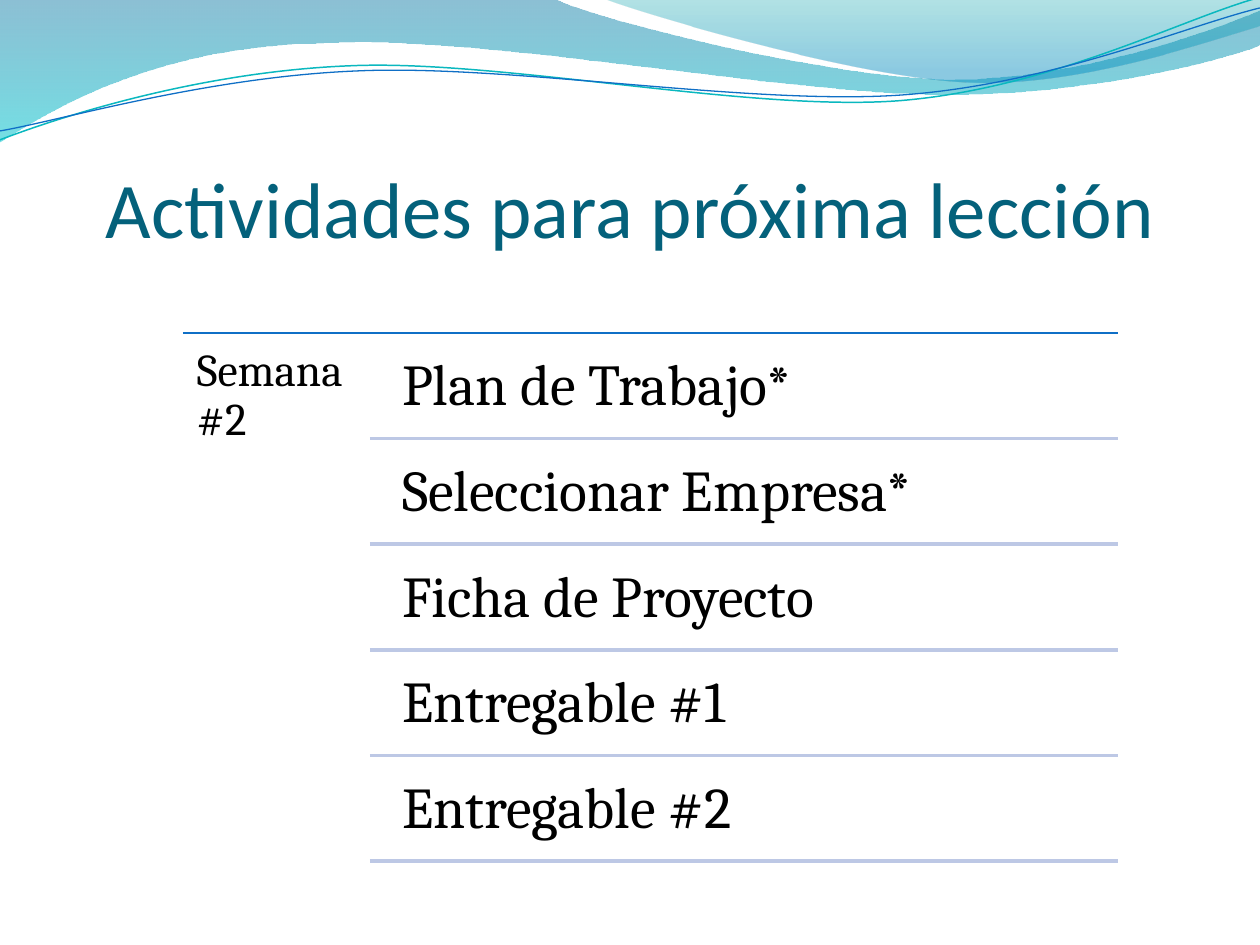
from math import cos, radians, sin

from lxml.etree import SubElement as Sub
from pptx import Presentation
from pptx.dml.color import RGBColor as RGB
from pptx.enum.shapes import MSO_CONNECTOR as CONN
from pptx.enum.text import MSO_ANCHOR as ANCHOR, PP_ALIGN as ALIGN
from pptx.oxml.ns import qn
from pptx.util import Pt

PX = 914400 / 126  # EMU in one px
TILT = 2.7  # degrees the thin curves lean to the left
HEX = {
    "title": "04617B", "ink": "000000", "rule": "0F6FC6", "row": "BDC8E5",
    "teal": "0AB8BF", "deep": "0074A1", "cyan": "00C6CF",
    "green": "00A1A9", "blue": "008BBF",
}
ROWS = ["Plan de Trabajo*", "Seleccionar Empresa*", "Ficha de Proyecto",
        "Entregable #1", "Entregable #2"]


def emu(n):
    return round(n * PX)


def color(name):
    return RGB.from_string(HEX[name])


def turn(point, mid, angle):
    a = radians(angle)
    dx, dy = point[0] - mid[0], point[1] - mid[1]
    return (mid[0] + dx * cos(a) - dy * sin(a),
            mid[1] + dx * sin(a) + dy * cos(a))


def add_free(slide, box, start, parts, close, tilt=0):
    """Outline of parts: a pair is a straight step, six numbers a Bézier."""
    x, y, w, h = box
    pts = [start]
    for part in parts:
        pts += zip(part[::2], part[1::2])
    pts = [turn(p, (w / 2, h / 2), tilt) for p in pts]
    pts = [(emu(x + a), emu(y + b)) for a, b in pts]
    pen = slide.shapes.build_freeform(*pts[0], scale=1.0)
    pen.add_line_segments(pts[1:], close=close)
    shape = pen.convert_to_shape()
    shape.shadow.inherit = False
    shape.rotation = -tilt % 360
    # Join the three points of each Bézier into one curve
    lines = iter(list(shape.element.iter(qn("a:lnTo"))))
    for part in parts:
        group = [next(lines) for _ in part[::2]]
        if len(group) == 3:
            first = group[0]
            first.tag = qn("a:cubicBezTo")
            for line in group[1:]:
                first.append(line[0])
                line.getparent().remove(line)
    return shape


def add_wave(slide, box, start, parts, stops):
    shape = add_free(slide, box, start, parts, True)
    shape.line.fill.background()
    shape.fill.gradient()
    shape.fill.gradient_angle = 270
    for stop, (pos, name, _) in zip(shape.fill.gradient_stops, stops):
        stop.position = pos
        stop.color.rgb = color(name)
    tones = shape.element.spPr.iter(qn("a:srgbClr"))
    for tone, (_, _, alpha) in zip(tones, stops):
        Sub(tone, qn("a:alpha")).set("val", str(alpha * 1000))


def add_curve(slide, box, start, parts, name, width):
    shape = add_free(slide, box, start, parts, False, TILT)
    shape.fill.background()
    shape.line.color.rgb = color(name)
    shape.line.width = Pt(width)


def add_rule(slide, x, y, w, name, width):
    line = slide.shapes.add_connector(
        CONN.STRAIGHT, emu(x), emu(y), emu(x + w), emu(y))
    line.line.color.rgb = color(name)
    line.line.width = Pt(width)
    Sub(line.element.spPr, qn("a:effectLst"))


def add_text(slide, box, text, font, size, name, pads):
    shape = slide.shapes.add_textbox(*map(emu, box))
    frame = shape.text_frame
    frame.word_wrap = True
    (frame.margin_left, frame.margin_top,
     frame.margin_right, frame.margin_bottom) = map(emu, pads)
    para = frame.paragraphs[0]
    para.text = text
    para.font.name = font
    para.font.size = Pt(size)
    para.font.color.rgb = color(name)
    return frame


def add_header(slide, box):
    # Wide band, then the pale wave at the right
    add_wave(slide, box, (0, 0), [
        (554, -1), (600, 21, 837, 79, 955, 79), (1075, 79, 1207, 33, 1260, 11),
        (1261, 45), (1239, 55, 1096, 96, 940, 94),
        (784, 94, 481, 35, 324, 43), (163, 45, 58, 105, -1, 142),
    ], [(0, "deep", 45), (1, "cyan", 55)])
    add_wave(slide, box, (604, -1), [
        (641, 14, 859, 78, 969, 82), (1079, 87, 1211, 40, 1260, 26), (1260, 0),
    ], [(0, "green", 30), (0.8, "blue", 45)])
    # Thin curves
    add_curve(slide, box, (0, 140), [
        (60, 117, 199, 72, 349, 66), (498, 59, 747, 112, 898, 101),
        (1050, 89, 1182, 19, 1258, -2)], "teal", 0.85)
    add_curve(slide, box, (0, 131), [
        (59, 121, 207, 77, 357, 71), (508, 64, 752, 106, 903, 95),
        (1053, 84, 1186, 26, 1260, 8)], "rule", 0.75)


def add_title(slide, box, text):
    frame = add_text(slide, box, text, "Calibri", 45, "title", (0, 6, 0, 0))
    frame.vertical_anchor = ANCHOR.BOTTOM
    frame.paragraphs[0].alignment = ALIGN.CENTER


def add_list(slide, box, label, rows):
    x, y, w, h = box
    side, step, gap, inset = w / 5, h / len(rows), 5, 14
    add_rule(slide, x, y, w, "rule", 0.75)
    # Week label
    frame = add_text(slide, (x, y, side, h + gap), label, "Cambria", 26, "ink",
                     (14,) * 4)
    frame.paragraphs[0].line_spacing = 0.9
    # Activities, each with a rule below
    for i, text in enumerate(rows):
        top = y + i * step
        cell = (x + side + inset, top + gap, w - side - inset, step - gap)
        frame = add_text(slide, cell, text, "Cambria", 33, "ink", (18,) * 4)
        frame.paragraphs[0].line_spacing = 0.9
        add_rule(slide, x + side, top + step, w - side, "row", 2)


def main():
    deck = Presentation()
    deck.slide_width, deck.slide_height = emu(1260), emu(945)
    slide = deck.slides.add_slide(deck.slide_layouts[6])
    add_header(slide, (0, 0, 1260, 142))
    add_title(slide, (63, 97, 1134, 157), "Actividades para próxima lección")
    add_list(slide, (183, 333, 935, 528), "Semana #2", ROWS)
    deck.save("out.pptx")


if __name__ == "__main__":
    main()
